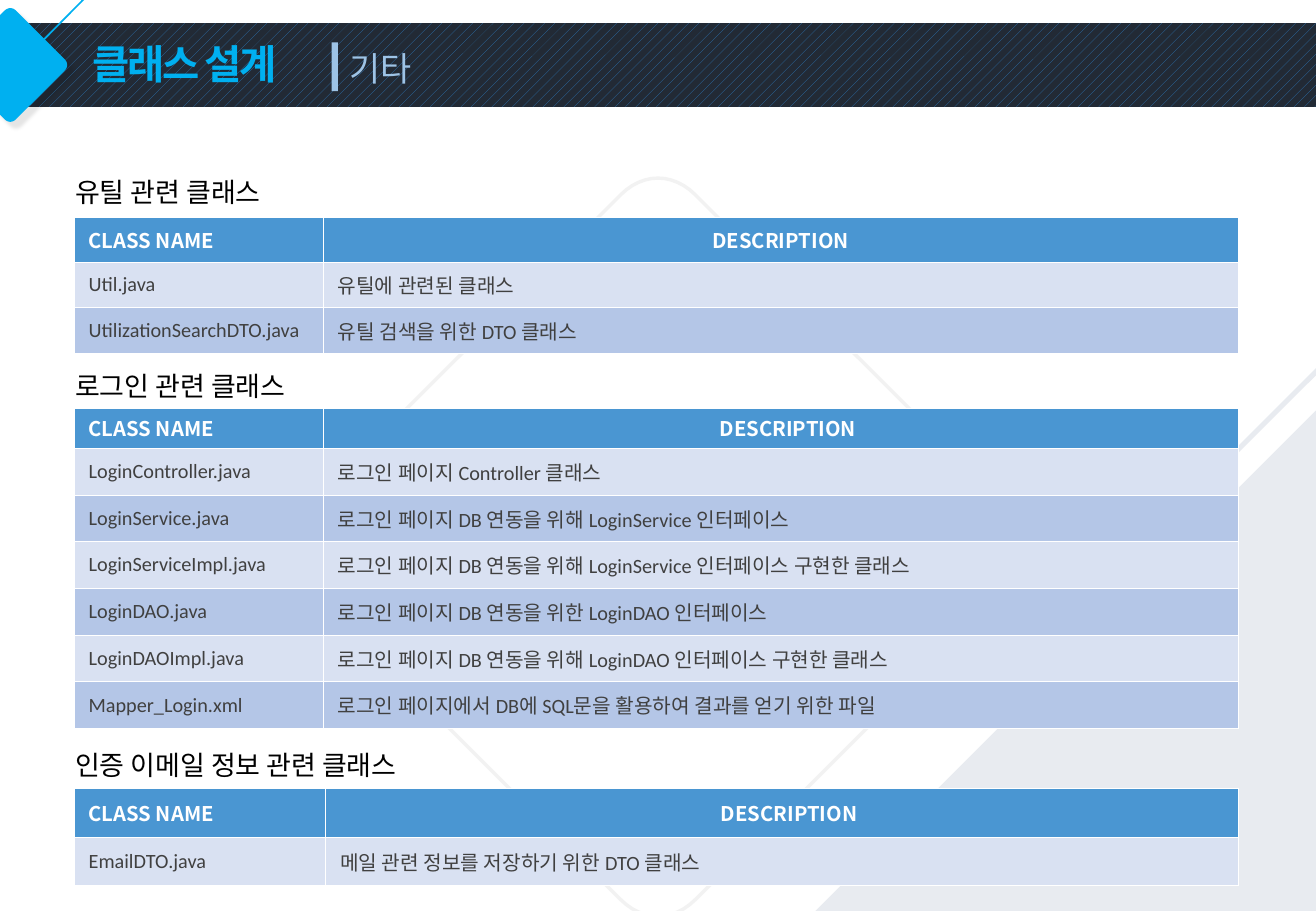
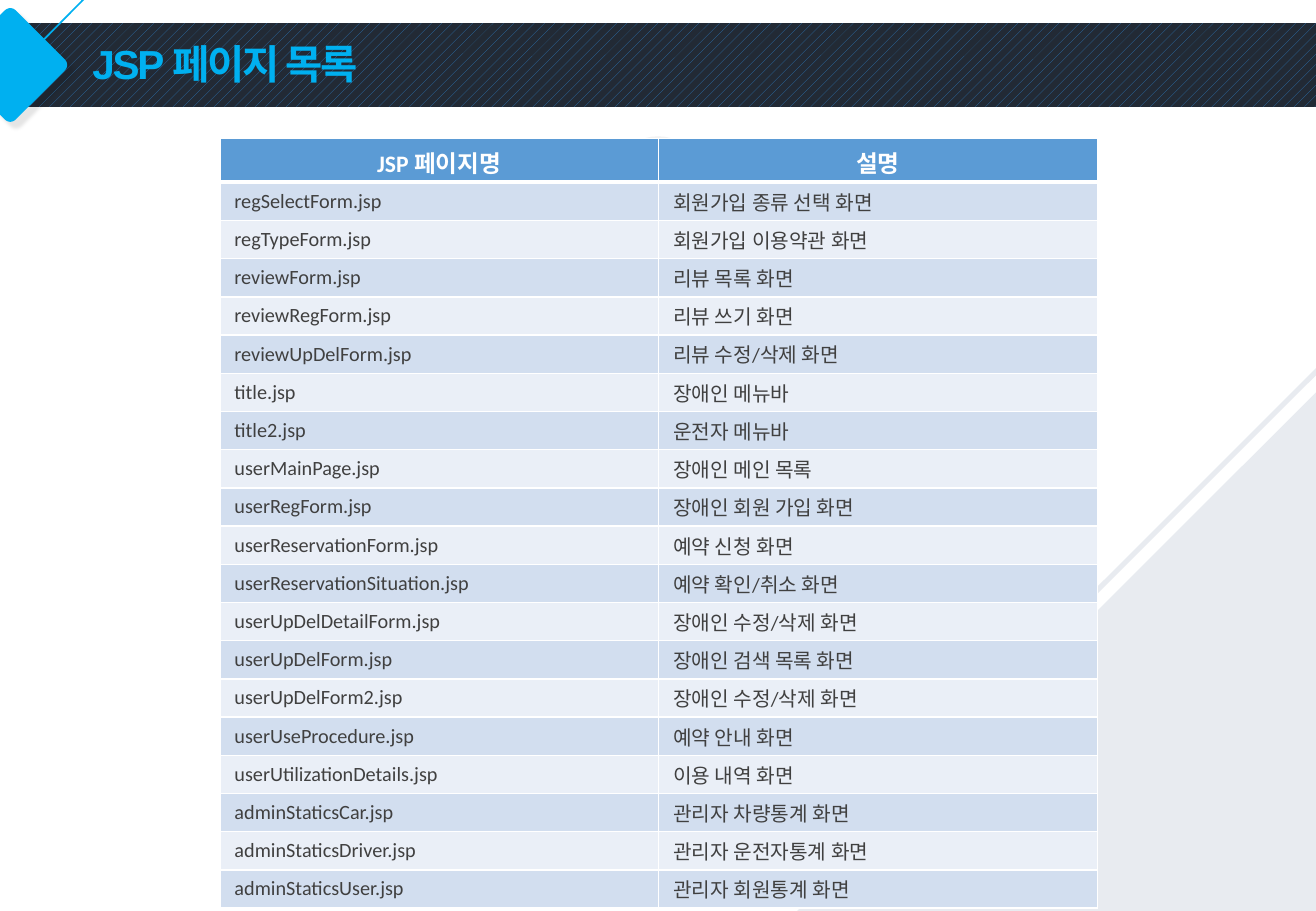
from dataclasses import dataclass

from lxml.etree import SubElement
from pptx import Presentation
from pptx.dml.color import RGBColor
from pptx.enum.dml import MSO_PATTERN
from pptx.enum.shapes import MSO_CONNECTOR, MSO_SHAPE
from pptx.enum.text import MSO_ANCHOR, MSO_AUTO_SIZE, PP_ALIGN
from pptx.oxml.ns import qn
from pptx.util import Inches, Pt

CYAN, PALE_BLUE, GREY, WHITE = "00B0F0", "9DC3E6", "E8EBF0", "FFFFFF"
BAND_LINES, BAND_BACK, OUTLINE = "2E75B6", "222A35", "F2F2F2"
BLACK, TEXT = "000000", "404040"
KOREAN_FONT = "Noto Sans CJK KR"


@dataclass
class TableStyle:
    header_fill: str
    fills: tuple[str, str]
    header_font: str
    header_size: int
    header_aligns: tuple[PP_ALIGN, PP_ALIGN]
    header_margins: tuple[float, float, float, float]
    margins: tuple[float, float, float, float]
    border: float
    header_border: float


@dataclass
class ListTable:
    left: float
    top: float
    height: float
    header_height: float
    widths: tuple[float, float]
    header: tuple[str, str]
    rows: list[tuple[str, str]]
    style: TableStyle
    last_header_inset: float


@dataclass
class Section:
    title: str
    title_top: float
    table: ListTable


CLASS_STYLE = TableStyle("4A96D2", ("D9E1F2", "B4C6E7"), KOREAN_FONT, 12,
                         (PP_ALIGN.LEFT, PP_ALIGN.CENTER),
                         (0.12, 0, 0, 0), (0.12, 0, 0, 0), 0.5, 0.5)
PAGE_STYLE = TableStyle("5B9BD5", ("D2DEEF", "EAEFF7"), "Calibri", 14,
                        (PP_ALIGN.CENTER, PP_ALIGN.CENTER),
                        (0.1, 0.05, 0.1, 0.05), (0.12, 0.02, 0.03, 0.02), 1, 3)


def class_table(top: float, height: float, header_height: float, first_width: float,
                rows: list[tuple[str, str]], last_header_inset: float = 0.12) -> ListTable:
    return ListTable(0.61, top, height, header_height, (first_width, 9.58 - first_width),
                     ("CLASS NAME", "DESCRIPTION"), rows, CLASS_STYLE, last_header_inset)


SECTIONS = [
    Section("유틸 관련 클래스", 1.4, class_table(1.79, 1.12, 0.37, 2.05, [
        ("Util.java", "유틸에 관련된 클래스"),
        ("UtilizationSearchDTO.java", "유틸 검색을 위한 DTO 클래스"),
    ], last_header_inset=0)),
    Section("로그인 관련 클래스", 2.99, class_table(3.36, 2.64, 0.33, 2.05, [
        ("LoginController.java", "로그인 페이지 Controller 클래스"),
        ("LoginService.java", "로그인 페이지 DB 연동을 위해 LoginService 인터페이스"),
        ("LoginServiceImpl.java", "로그인 페이지 DB 연동을 위해 LoginService 인터페이스 구현한 클래스"),
        ("LoginDAO.java", "로그인 페이지 DB 연동을 위한 LoginDAO 인터페이스"),
        ("LoginDAOImpl.java", "로그인 페이지 DB 연동을 위해 LoginDAO 인터페이스 구현한 클래스"),
        ("Mapper_Login.xml", "로그인 페이지에서 DB에 SQL문을 활용하여 결과를 얻기 위한 파일"),
    ])),
    Section("인증 이메일 정보 관련 클래스", 6.11, class_table(6.49, 0.8, 0.4, 2.07, [
        ("EmailDTO.java", "메일 관련 정보를 저장하기 위한 DTO 클래스"),
    ])),
]

PAGES = ListTable(1.81, 1.14, 6.34, 0.36, (3.61, 3.61), ("JSP 페이지명", "설명"), [
    ("regSelectForm.jsp", "회원가입 종류 선택 화면"),
    ("regTypeForm.jsp", "회원가입 이용약관 화면"),
    ("reviewForm.jsp", "리뷰 목록 화면"),
    ("reviewRegForm.jsp", "리뷰 쓰기 화면"),
    ("reviewUpDelForm.jsp", "리뷰 수정/삭제 화면"),
    ("title.jsp", "장애인 메뉴바"),
    ("title2.jsp", "운전자 메뉴바"),
    ("userMainPage.jsp", "장애인 메인 목록"),
    ("userRegForm.jsp", "장애인 회원 가입 화면"),
    ("userReservationForm.jsp", "예약 신청 화면"),
    ("userReservationSituation.jsp", "예약 확인/취소 화면"),
    ("userUpDelDetailForm.jsp", "장애인 수정/삭제 화면"),
    ("userUpDelForm.jsp", "장애인 검색 목록 화면"),
    ("userUpDelForm2.jsp", "장애인 수정/삭제 화면"),
    ("userUseProcedure.jsp", "예약 안내 화면"),
    ("userUtilizationDetails.jsp", "이용 내역 화면"),
    ("adminStaticsCar.jsp", "관리자 차량통계 화면"),
    ("adminStaticsDriver.jsp", "관리자 운전자통계 화면"),
    ("adminStaticsUser.jsp", "관리자 회원통계 화면"),
], PAGE_STYLE, 0.1)


def rgb(color: str) -> RGBColor:
    return RGBColor.from_string(color)


def fill_solid(target, color: str) -> None:
    target.fill.solid()
    target.fill.fore_color.rgb = rgb(color)


def write(tf, text: str, size: float, color: str, font: str = "Calibri", bold: bool = False):
    """Put one formatted paragraph in a text frame and return it."""
    tf.text = text
    p = tf.paragraphs[0]
    r = p.runs[0]
    r.font.size, r.font.bold, r.font.name = Pt(size), bold, font
    r.font.color.rgb = rgb(color)
    SubElement(r.font._element, qn("a:ea"), typeface=KOREAN_FONT)
    return p


def add_label(s, left: float, top: float, width: float, height: float,
              text: str, size: float, color: str) -> None:
    sp = s.shapes.add_textbox(Inches(left), Inches(top), Inches(width), Inches(height))
    tf = sp.text_frame
    tf.word_wrap = True
    tf.auto_size = MSO_AUTO_SIZE.SHAPE_TO_FIT_TEXT
    write(tf, text, size, color)


def add_plain_shape(s, kind: MSO_SHAPE, left: float, top: float,
                    width: float, height: float, color: str):
    sp = s.shapes.add_shape(kind, Inches(left), Inches(top), Inches(width), Inches(height))
    sp.shadow.inherit = False
    fill_solid(sp, color)
    sp.line.fill.background()
    return sp


def add_rule(s, start: tuple[float, float], end: tuple[float, float],
             color: str, width: float) -> None:
    line = s.shapes.add_connector(MSO_CONNECTOR.STRAIGHT, *map(Inches, start + end))
    line.line.color.rgb = rgb(color)
    line.line.width = Pt(width)
    SubElement(line._element.spPr, qn("a:effectLst"))


def add_diamond(s, left: float, top: float, size: float):
    """Draw a diamond whose four tips are rounded by cubic curves."""
    tip = [(0.45, 0.03), (0.48, 0), (0.52, 0), (0.55, 0.03)]
    steps = 12
    points = []
    for i in range(steps + 1):
        t = i / steps
        weights = ((1 - t) ** 3, 3 * t * (1 - t) ** 2, 3 * t * t * (1 - t), t ** 3)
        points.append(tuple(sum(w * c[axis] for w, c in zip(weights, tip)) for axis in (0, 1)))
    outline = []
    for _ in range(4):
        outline += points
        points = [(1 - y, x) for x, y in points]
    emu = [(Inches(left + size * x), Inches(top + size * y)) for x, y in outline]
    builder = s.shapes.build_freeform(*emu[0], scale=1.0)
    builder.add_line_segments(emu[1:], close=True)
    sp = builder.convert_to_shape()
    sp.shadow.inherit = False
    return sp


def add_soft_shadow(sp) -> None:
    effects = sp._element.spPr.find(qn("a:effectLst"))
    shadow = SubElement(effects, qn("a:outerShdw"), blurRad=str(Pt(2)), dist=str(Pt(5)),
                        dir=str(45 * 60000), algn="tl", rotWithShape="0")
    color = SubElement(shadow, qn("a:srgbClr"), val=BLACK)
    SubElement(color, qn("a:alpha"), val="10000")


def add_base(prs, title: str, title_width: float, diamond_top: float, triangle_top: float):
    """Add a slide with the band, the background figures and the title."""
    s = prs.slides.add_slide(prs.slide_layouts[6])
    band = add_plain_shape(s, MSO_SHAPE.RECTANGLE, 0, 0.19, 10.83, 0.69, BAND_BACK)
    band.fill.patterned()
    band.fill.pattern = MSO_PATTERN.PERCENT_20
    band.fill.fore_color.rgb = rgb(BAND_LINES)
    band.fill.back_color.rgb = rgb(BAND_BACK)

    badge = add_diamond(s, -0.39, 0.06, 0.95)
    fill_solid(badge, CYAN)
    badge.line.fill.background()
    add_soft_shadow(badge)

    frame = add_diamond(s, 2.33, diamond_top, 6.17)
    frame.fill.background()
    frame.line.color.rgb = rgb(OUTLINE)
    frame.line.width = Pt(2)

    corner = add_plain_shape(s, MSO_SHAPE.RIGHT_TRIANGLE, 6.56, triangle_top, 4.27, 4.27, GREY)
    corner.rotation = 270
    add_rule(s, (0.08, 0.61), (0.85, -0.17), CYAN, 1)
    add_rule(s, (12.01, 1.88), (8.81, 5.08), GREY, 3)

    sp = s.shapes.add_textbox(Inches(0.76), Inches(0.37), Inches(title_width), Inches(0.36))
    tf = sp.text_frame
    tf.margin_left = tf.margin_top = tf.margin_right = tf.margin_bottom = 0
    tf.word_wrap = False
    tf.auto_size = MSO_AUTO_SIZE.SHAPE_TO_FIT_TEXT
    tf.vertical_anchor = MSO_ANCHOR.MIDDLE
    p = write(tf, title, 24, CYAN, "Arial", True)
    p.line_spacing = 0.9
    p.runs[0].font._element.set("spc", "-130")
    return s


def set_borders(cell, top: float, side: float, bottom: float) -> None:
    tc_pr = cell._tc.get_or_add_tcPr()
    for tag, width in (("lnL", side), ("lnR", side), ("lnT", top), ("lnB", bottom)):
        ln = SubElement(tc_pr, qn(f"a:{tag}"), w=str(Pt(width)))
        SubElement(SubElement(ln, qn("a:solidFill")), qn("a:srgbClr"), val=WHITE)


def add_list_table(s, spec: ListTable) -> None:
    style = spec.style
    lines = [spec.header, *spec.rows]
    table = s.shapes.add_table(len(lines), 2, Inches(spec.left), Inches(spec.top),
                               Inches(sum(spec.widths)), Inches(spec.height)).table
    table.first_row = table.horz_banding = False
    for column, width in zip(table.columns, spec.widths):
        column.width = Inches(width)
    row_height = (spec.height - spec.header_height) / len(spec.rows)
    for i, line in enumerate(lines):
        is_header = i == 0
        table.rows[i].height = Inches(spec.header_height if is_header else row_height)
        for j, text in enumerate(line):
            cell = table.cell(i, j)
            margins = style.header_margins if is_header else style.margins
            cell.margin_left, cell.margin_top, cell.margin_right, cell.margin_bottom = map(
                Inches, margins)
            cell.vertical_anchor = MSO_ANCHOR.MIDDLE
            set_borders(cell, style.header_border if i == 1 else style.border, style.border,
                        style.header_border if is_header else style.border)
            if is_header:
                fill_solid(cell, style.header_fill)
                p = write(cell.text_frame, text, style.header_size, WHITE,
                          style.header_font, True)
                p.alignment = style.header_aligns[j]
            else:
                fill_solid(cell, style.fills[(i - 1) % 2])
                write(cell.text_frame, text, 12, TEXT)
    table.cell(0, 1).margin_left = Inches(spec.last_header_inset)


def build_class_slide(prs) -> None:
    s = add_base(prs, "클래스 설계", 1.67, 1.42, 3.38)
    for section in SECTIONS:
        add_list_table(s, section.table)
        add_label(s, 0.52, section.title_top, 4.05, 0.37, section.title, 16, BLACK)
    add_label(s, 2.78, 0.34, 4.99, 0.44, "기타", 20, PALE_BLUE)
    add_plain_shape(s, MSO_SHAPE.RECTANGLE, 2.73, 0.35, 0.05, 0.4, PALE_BLUE)


def build_page_slide(prs) -> None:
    s = add_base(prs, "JSP 페이지 목록", 2.32, 1.09, 3.23)
    add_list_table(s, PAGES)


def main() -> None:
    prs = Presentation()
    prs.slide_width, prs.slide_height = Inches(10.83), Inches(7.5)
    build_class_slide(prs)
    build_page_slide(prs)
    prs.save("out.pptx")


if __name__ == "__main__":
    main()
